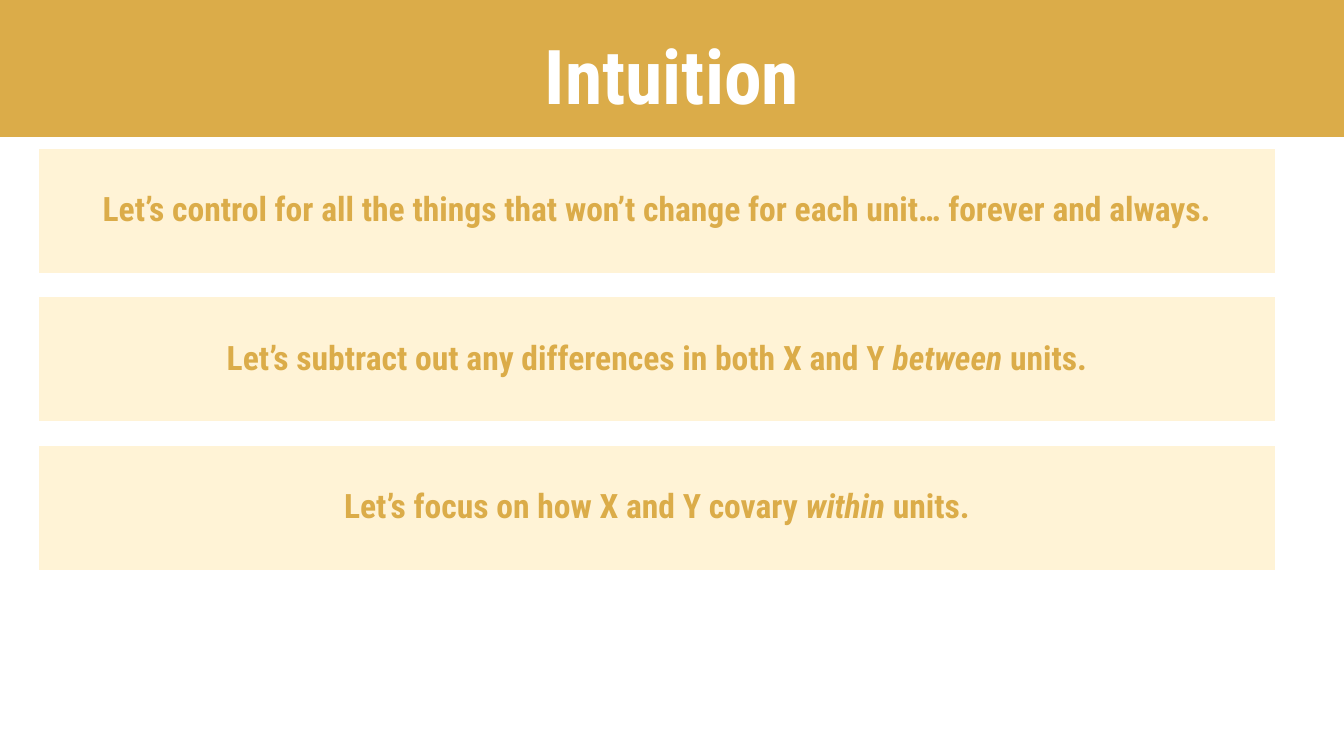
from pptx import Presentation
from pptx.dml.color import RGBColor
from pptx.enum.shapes import MSO_SHAPE
from pptx.enum.text import MSO_ANCHOR, MSO_AUTO_SIZE, PP_ALIGN
from pptx.util import Inches, Pt

RECTANGLE = MSO_SHAPE.RECTANGLE
CENTER = PP_ALIGN.CENTER
MIDDLE, BOTTOM = MSO_ANCHOR.MIDDLE, MSO_ANCHOR.BOTTOM
NO_AUTOFIT = MSO_AUTO_SIZE.NONE

FONT = "Roboto Condensed"
GOLD, CREAM, WHITE = "DBAC49", "FFF3D6", "FFFFFF"
SLIDE_WIDTH, SLIDE_HEIGHT = 13.33, 7.5
HEADER_HEIGHT = 1.36
CARD_LEFT, CARD_TOP = 0.37, 1.46
CARD_WIDTH, CARD_HEIGHT = 12.29, 1.26
ROW_PITCH = 1.475

IDEAS = [
    [("Let’s control for all the things that won’t change for each unit… forever and always.", False)],
    [("Let’s subtract out any differences in both X and Y ", False),
     ("between", True), (" units.", False)],
    [("Let’s focus on how X and Y covary ", False),
     ("within", True), (" units.", False)],
]


def color(hex_code):
    return RGBColor.from_string(hex_code)


def write_runs(paragraph, runs, size, hex_code):
    paragraph.alignment = CENTER
    for text, italic in runs:
        run = paragraph.add_run()
        run.text = text
        run.font.name = FONT
        run.font.size = Pt(size)
        run.font.bold = True
        run.font.italic = italic
        run.font.color.rgb = color(hex_code)


def set_frame(frame, anchor, side, end):
    frame.word_wrap = True
    frame.auto_size = NO_AUTOFIT
    frame.vertical_anchor = anchor
    frame.margin_left = frame.margin_right = Inches(side)
    frame.margin_top = frame.margin_bottom = Inches(end)


def add_block(slide, left, top, width, height, fill):
    block = slide.shapes.add_shape(
        RECTANGLE, Inches(left), Inches(top), Inches(width), Inches(height))
    block.shadow.inherit = False
    block.fill.solid()
    block.fill.fore_color.rgb = color(fill)
    return block


def add_header(slide):
    band = add_block(slide, 0, 0, SLIDE_WIDTH, HEADER_HEIGHT, GOLD)
    band.line.fill.background()
    title = slide.shapes.title
    title.left, title.top = Inches(0), Inches(-0.11)
    title.width, title.height = Inches(SLIDE_WIDTH), Inches(HEADER_HEIGHT)
    set_frame(title.text_frame, BOTTOM, 0.1, 0.05)
    heading = title.text_frame.paragraphs[0]
    heading.line_spacing = 0.9
    write_runs(heading, [("Intuition", False)], 54, WHITE)
    title._element.addprevious(band._element)


def add_idea(slide, row, runs):
    card = add_block(slide, CARD_LEFT, CARD_TOP + row * ROW_PITCH,
                     CARD_WIDTH, CARD_HEIGHT, CREAM)
    card.line.color.rgb = color(WHITE)
    card.line.width = Pt(2)
    set_frame(card.text_frame, MIDDLE, 0.12, 0.12)
    sentence = card.text_frame.paragraphs[0]
    sentence.line_spacing = 0.9
    write_runs(sentence, runs, 24, GOLD)


def main():
    deck = Presentation()
    deck.slide_width = Inches(SLIDE_WIDTH)
    deck.slide_height = Inches(SLIDE_HEIGHT)
    slide = deck.slides.add_slide(deck.slide_layouts[5])
    add_header(slide)
    for row, runs in enumerate(IDEAS):
        add_idea(slide, row, runs)
    deck.save("out.pptx")


if __name__ == "__main__":
    main()
